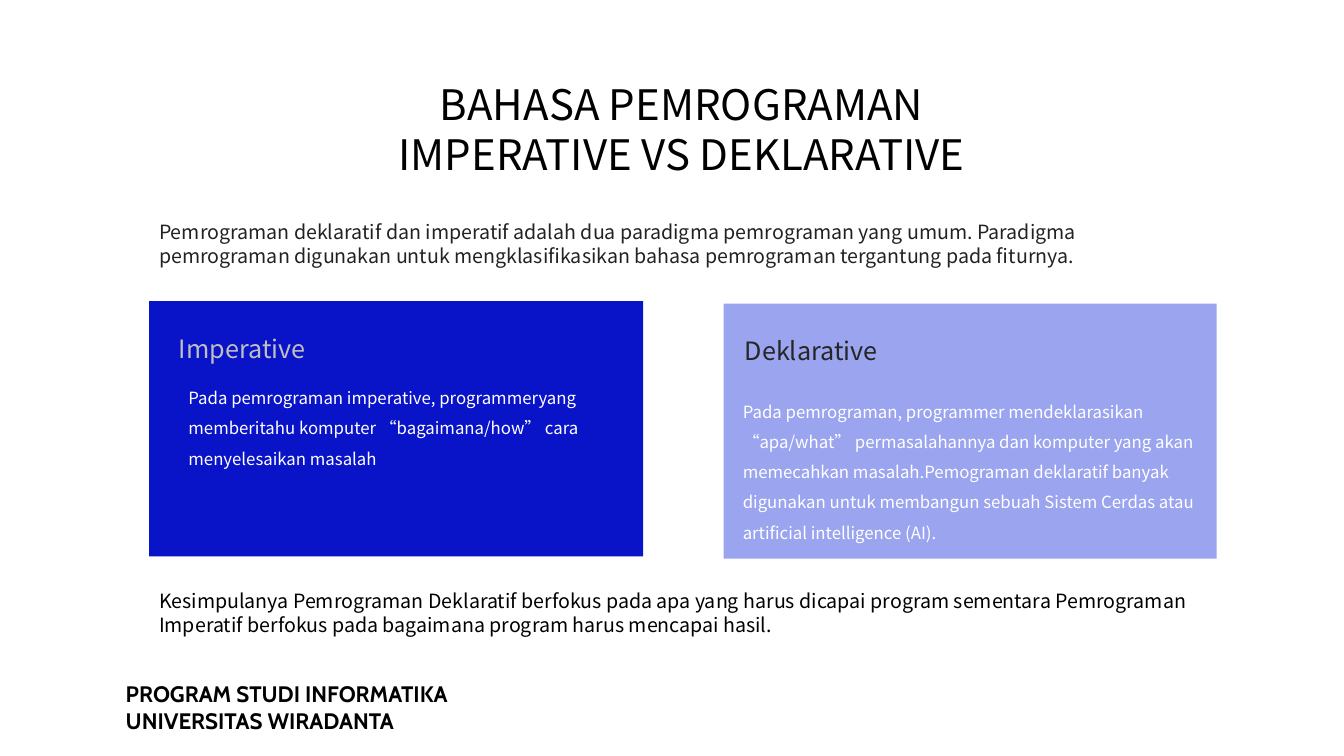
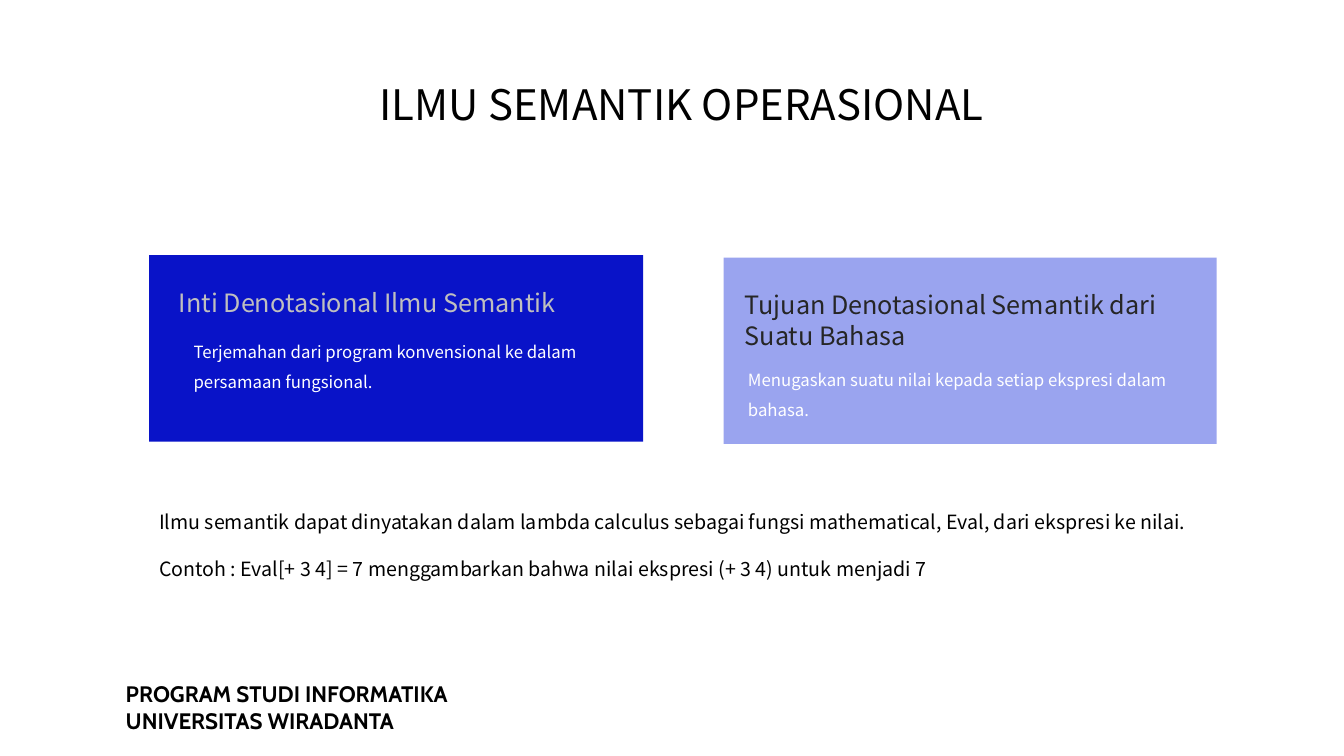
from dataclasses import dataclass

from pptx import Presentation
from pptx.dml.color import RGBColor
from pptx.enum.shapes import MSO_SHAPE
from pptx.enum.text import MSO_ANCHOR, PP_ALIGN
from pptx.oxml.ns import qn
from pptx.slide import Slide
from pptx.util import Cm, Pt

COLORS = {
    "black": "000000",
    "white": "FFFFFF",
    "intro": "222222",
    "blue": "0913C8",
    "lavender": "9AA4EF",
    "light_heading": "BFBFBF",
    "dark_heading": "262626",
}
BODY_FONT = "Noto Sans CJK SC"
FOOTER_FONT = "Cabin"
FOOTER_LINES = ("PROGRAM STUDI INFORMATIKA", "UNIVERSITAS WIRADANTA")
TEXT_LEFT, TEXT_WIDTH = 3.76, 26.85
CARD_GAP_TOP = 0.06


@dataclass(frozen=True)
class TextStyle:
    size: float
    color: str
    leading: float
    font: str = BODY_FONT
    bold: bool = False
    align: PP_ALIGN = PP_ALIGN.LEFT
    space_after: float = 0
    inset_left: float = 0.25
    inset_top: float = 0.13


@dataclass(frozen=True)
class CardStyle:
    left: float
    width: float
    fill: str
    heading_inset: float
    heading_width: float
    heading_color: str
    body_width: float


@dataclass(frozen=True)
class Card:
    heading: str
    body: str
    body_left: float
    body_drop: float


@dataclass(frozen=True)
class Note:
    top: float
    height: float
    color: str
    lines: tuple[str, ...]


@dataclass(frozen=True)
class Page:
    title: str
    title_height: float
    cards_top: float
    cards_height: float
    cards: tuple[Card, Card]
    notes: tuple[Note, ...]


TITLE = TextStyle(30, "black", 36, align=PP_ALIGN.CENTER, inset_top=0.25)
FOOTER = TextStyle(16, "black", 19.4, font=FOOTER_FONT, bold=True)

CARD_STYLES = (
    CardStyle(3.76, 12.45, "blue", 0.5, 11.33, "light_heading", 11.33),
    CardStyle(18.24, 12.42, "lavender", 0.28, 11.1, "dark_heading", 12.09),
)

PAGES = (
    Page(
        "BAHASA PEMROGRAMAN IMPERATIVE VS DEKLARATIVE", 2.82, 7.59, 6.43,
        (
            Card("Imperative",
                 "Pada pemrograman imperative, programmeryang memberitahu "
                 "komputer “bagaimana/how” cara menyelesaikan masalah",
                 4.75, 1.93),
            Card("Deklarative",
                 "Pada pemrograman, programmer mendeklarasikan “apa/what” "
                 "permasalahannya dan komputer yang akan memecahkan "
                 "masalah.Pemograman deklaratif banyak digunakan untuk "
                 "membangun sebuah Sistem Cerdas atau artificial "
                 "intelligence (AI).",
                 18.72, 2.21),
        ),
        (
            Note(5.36, 1.45, "intro", (
                "Pemrograman deklaratif dan imperatif adalah dua paradigma "
                "pemrograman yang umum. Paradigma pemrograman digunakan untuk "
                "mengklasifikasikan bahasa pemrograman tergantung pada "
                "fiturnya.",)),
            Note(14.66, 1.45, "black", (
                "Kesimpulanya Pemrograman Deklaratif berfokus pada apa yang "
                "harus dicapai program sementara Pemrograman Imperatif "
                "berfokus pada bagaimana program harus mencapai hasil.",)),
        ),
    ),
    Page(
        "ILMU SEMANTIK OPERASIONAL", 1.55, 6.43, 4.7,
        (
            Card("Inti Denotasional Ilmu Semantik",
                 "Terjemahan dari program konvensional ke dalam persamaan "
                 "fungsional.",
                 4.88, 1.93),
            Card("Tujuan Denotasional Semantik dari Suatu Bahasa",
                 "Menugaskan suatu nilai kepada setiap ekspresi dalam bahasa.",
                 18.85, 2.57),
        ),
        (
            Note(12.65, 2.06, "black", (
                "Ilmu semantik dapat dinyatakan dalam lambda calculus sebagai "
                "fungsi mathematical, Eval, dari ekspresi ke nilai.",
                "Contoh : Eval[+ 3 4] = 7 menggambarkan bahwa nilai ekspresi "
                "(+ 3 4) untuk menjadi 7")),
        ),
    ),
)


def write_text(shape, lines: tuple[str, ...], style: TextStyle) -> None:
    """Fill a text frame, one paragraph per line."""
    frame = shape.text_frame
    frame.word_wrap = True
    frame.vertical_anchor = MSO_ANCHOR.TOP
    frame.margin_left = frame.margin_right = Cm(style.inset_left)
    frame.margin_top, frame.margin_bottom = Cm(style.inset_top), Cm(0)
    for index, line in enumerate(lines):
        paragraph = frame.add_paragraph() if index else frame.paragraphs[0]
        paragraph.alignment = style.align
        paragraph.line_spacing = Pt(style.leading)
        paragraph.space_before = Pt(0)
        paragraph.space_after = Pt(style.space_after)
        run = paragraph.add_run()
        run.text = line
        font = run.font
        font.name, font.size, font.bold = style.font, Pt(style.size), style.bold
        font.color.rgb = RGBColor.from_string(COLORS[style.color])
        # Curly quotes take the East Asian typeface
        east_asian = run._r.get_or_add_rPr().makeelement(
            qn("a:ea"), {"typeface": style.font})
        run._r.rPr.find(qn("a:latin")).addnext(east_asian)


def add_text(slide: Slide, left: float, top: float, width: float,
             height: float, lines: tuple[str, ...], style: TextStyle) -> None:
    box = slide.shapes.add_textbox(Cm(left), Cm(top), Cm(width), Cm(height))
    write_text(box, lines, style)


def add_title(slide: Slide, text: str, height: float) -> None:
    title = slide.shapes.title
    title.left, title.top = Cm(8.08), Cm(1.73)
    title.width, title.height = Cm(18.19), Cm(height)
    write_text(title, (text,), TITLE)


def add_card(slide: Slide, card: Card, style: CardStyle, top: float,
             height: float) -> None:
    # Panel
    panel = slide.shapes.add_shape(
        MSO_SHAPE.RECTANGLE, Cm(style.left), Cm(top), Cm(style.width), Cm(height))
    panel.shadow.inherit = False
    panel.fill.solid()
    panel.fill.fore_color.rgb = RGBColor.from_string(COLORS[style.fill])
    panel.line.fill.background()
    # Heading and body
    heading = TextStyle(18, style.heading_color, 21.6, inset_top=0.2)
    add_text(slide, style.left + style.heading_inset, top + 0.61,
             style.heading_width, 1.02, (card.heading,), heading)
    body = TextStyle(12, "white", 21.6, inset_left=0, inset_top=0)
    add_text(slide, card.body_left, top + card.body_drop, style.body_width,
             height - card.body_drop, (card.body,), body)


def add_page(presentation, page: Page) -> None:
    slide = presentation.slides.add_slide(presentation.slide_layouts[5])
    add_title(slide, page.title, page.title_height)
    for index, (card, style) in enumerate(zip(page.cards, CARD_STYLES)):
        add_card(slide, card, style, page.cards_top + index * CARD_GAP_TOP,
                 page.cards_height)
    for note in page.notes:
        style = TextStyle(14, note.color, 16.8, space_after=16.8, inset_top=0.19)
        add_text(slide, TEXT_LEFT, note.top, TEXT_WIDTH, note.height,
                 note.lines, style)
    # Footer
    add_text(slide, 2.92, 16.99, 16.66, 1.63, FOOTER_LINES, FOOTER)


def main() -> None:
    presentation = Presentation()
    presentation.slide_width, presentation.slide_height = Cm(33.87), Cm(19.05)
    for page in PAGES:
        add_page(presentation, page)
    presentation.save("out.pptx")


if __name__ == "__main__":
    main()
